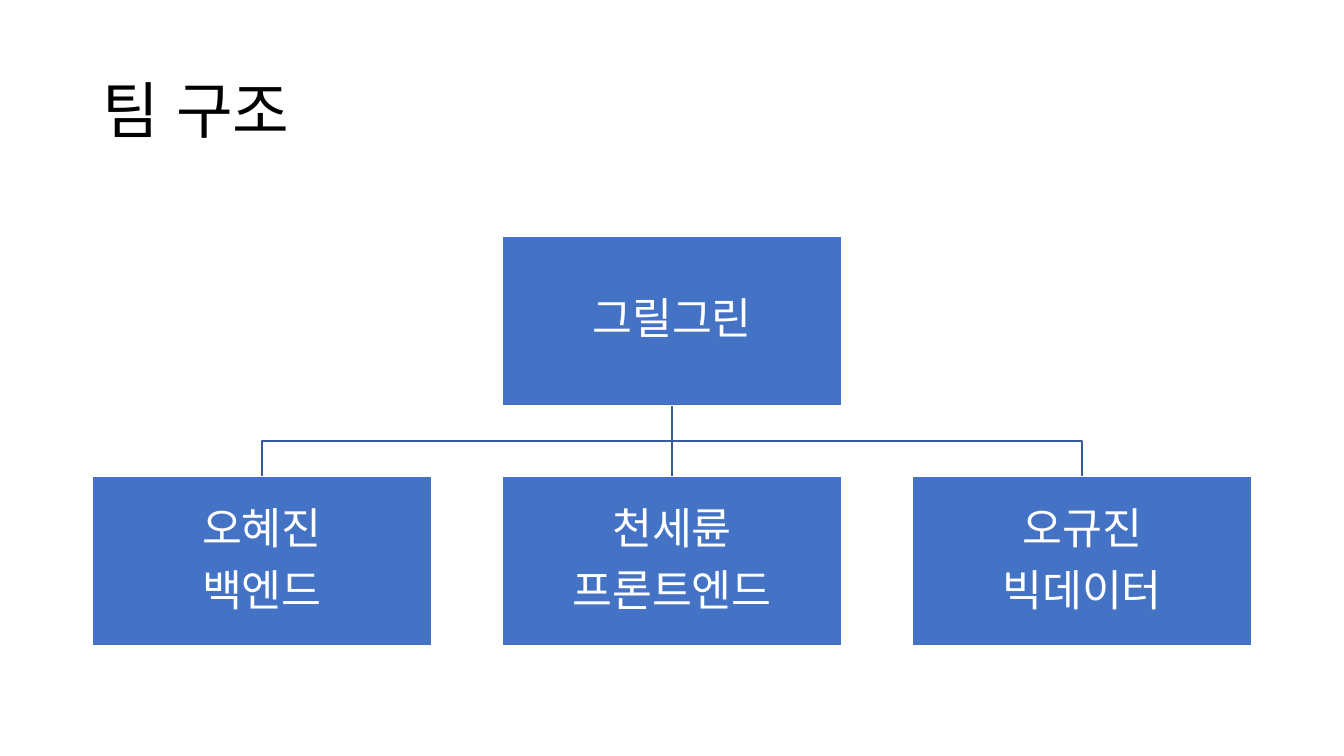
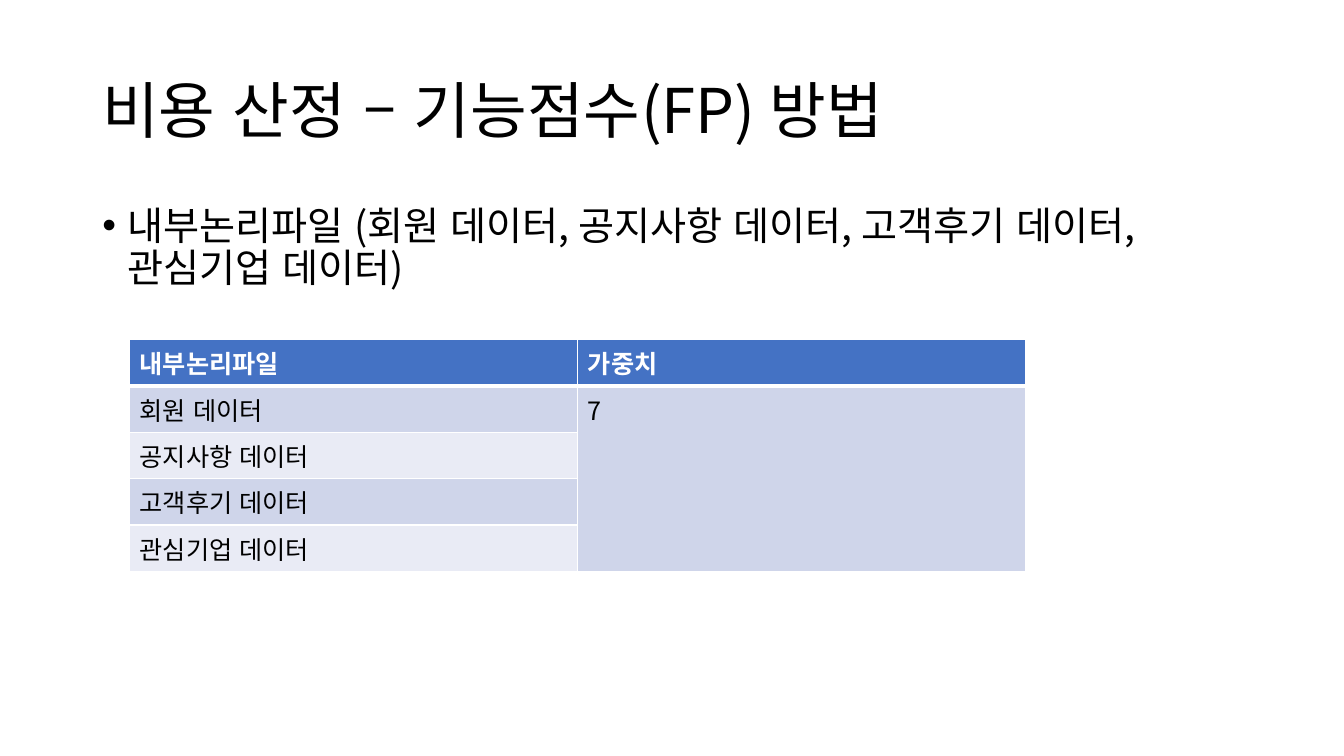
"""Build a team chart slide and a function point cost slide."""
from lxml.etree import SubElement
from pptx import Presentation
from pptx.dml.color import RGBColor
from pptx.enum.lang import MSO_LANGUAGE_ID
from pptx.enum.shapes import MSO_CONNECTOR, MSO_SHAPE
from pptx.enum.text import MSO_ANCHOR, PP_ALIGN
from pptx.oxml.ns import qn
from pptx.util import Inches, Pt

STRAIGHT, RECT = MSO_CONNECTOR.STRAIGHT, MSO_SHAPE.RECTANGLE
MIDDLE, CENTER = MSO_ANCHOR.MIDDLE, PP_ALIGN.CENTER
KOREAN = MSO_LANGUAGE_ID.KOREAN
FONT = "Noto Sans CJK KR"
BLACK = RGBColor(0x00, 0x00, 0x00)
WHITE = RGBColor(0xFF, 0xFF, 0xFF)
BLUE = RGBColor(0x44, 0x72, 0xC4)
NAVY = RGBColor(0x36, 0x5B, 0x9D)
BANDS = RGBColor(0xE9, 0xEB, 0xF5), RGBColor(0xCF, 0xD5, 0xEA)

COLS, ROWS = 160, 90
UNIT = Inches(13.3333) / COLS
LEFT, WIDE = 11, 138


def grid(*cells):
    return [round(cell * UNIT) for cell in cells]


def write(para, text, size, color, bold=False):
    run = para.add_run()
    run.text = text
    font = run.font
    font.name, font.size, font.bold = FONT, Pt(size), bold
    font.color.rgb = color
    font.language_id = KOREAN
    SubElement(font._element, qn("a:ea")).set("typeface", FONT)


deck = Presentation()
deck.slide_width, deck.slide_height = grid(COLS, ROWS)

slides = []
for title in ("팀 구조", "비용 산정 – 기능점수(FP) 방법"):
    slide = deck.slides.add_slide(deck.slide_layouts[6])
    frame = slide.shapes.add_textbox(*grid(LEFT, 4.8, WIDE, 17.4)).text_frame
    frame.word_wrap, frame.vertical_anchor = True, MIDDLE
    para = frame.paragraphs[0]
    para.line_spacing = 0.9
    write(para, title, 44, BLACK)
    slides.append(slide)
team, cost = slides

BOX_W, BOX_H = 40.36, 20.18
STEP = (WIDE - BOX_W) / 2
HEAD, STAFF = 28.1, 56.74
FOOT = HEAD + BOX_H
BUS = (FOOT + STAFF) / 2
lefts = [LEFT + STEP * num for num in range(3)]
mids = [left + BOX_W / 2 for left in lefts]

stem = team.shapes.add_connector(STRAIGHT, *grid(mids[1], FOOT, mids[1], STAFF))
SubElement(stem._element.spPr, qn("a:effectLst"))
links = [stem]
for mid in (mids[0], mids[2]):
    pen = team.shapes.build_freeform(*grid(mids[1], FOOT))
    bends = [grid(mids[1], BUS), grid(mid, BUS), grid(mid, STAFF)]
    pen.add_line_segments(bends, close=False)
    link = pen.convert_to_shape()
    link.shadow.inherit = False
    link.fill.background()
    links.append(link)
for link in links:
    link.line.color.rgb, link.line.width = NAVY, Pt(1)

boxes = [
    (lefts[1], HEAD, ["그릴그린"]),
    (lefts[0], STAFF, ["오혜진", "백엔드"]),
    (lefts[1], STAFF, ["천세륜", "프론트엔드"]),
    (lefts[2], STAFF, ["오규진", "빅데이터"]),
]
for left, top, words in boxes:
    box = team.shapes.add_shape(RECT, *grid(left, top, BOX_W, BOX_H))
    box.shadow.inherit = False
    box.fill.solid()
    box.fill.fore_color.rgb = BLUE
    box.line.color.rgb, box.line.width = WHITE, Pt(1)
    frame = box.text_frame
    frame.word_wrap, frame.vertical_anchor = True, MIDDLE
    frame.margin_left = frame.margin_right = Inches(0.02)
    frame.margin_top = frame.margin_bottom = Inches(0.02)
    for num, word in enumerate(words):
        para = frame.add_paragraph() if num else frame.paragraphs[0]
        para.alignment, para.line_spacing = CENTER, 0.9
        para.space_after = Pt(10.85)
        write(para, word, 31, WHITE)

frame = cost.shapes.add_textbox(*grid(LEFT, 24, WIDE, 57)).text_frame
frame.word_wrap = True
para = frame.paragraphs[0]
para.line_spacing, para.space_before = 0.9, Pt(10)
props = para._p.get_or_add_pPr()
props.set("marL", str(Inches(0.25)))
props.set("indent", str(-Inches(0.25)))
SubElement(props, qn("a:buFont")).set("typeface", "Arial")
SubElement(props, qn("a:buChar")).set("char", "•")
write(para, "내부논리파일 (회원 데이터, 공지사항 데이터, 고객후기 데이터, 관심기업 데이터)", 28, BLACK)

data = [
    ("내부논리파일", "가중치"),
    ("회원 데이터", "7"),
    ("공지사항 데이터", ""),
    ("고객후기 데이터", ""),
    ("관심기업 데이터", ""),
]
area = grid(15.44, 40.4, 106.7, 5.53 * len(data))
table = cost.shapes.add_table(len(data), 2, *area).table
for row, words in enumerate(data):
    for col, word in enumerate(words):
        cell = table.cell(row, col)
        props = cell._tc.get_or_add_tcPr()
        for side in ("lnL", "lnR", "lnT", "lnB"):
            thick = (row, side) in ((0, "lnB"), (1, "lnT"))
            edge = SubElement(props, qn("a:" + side), w=str(Pt(3 if thick else 1)))
            paint = SubElement(edge, qn("a:solidFill"))
            SubElement(paint, qn("a:srgbClr")).set("val", str(WHITE))
        cell.fill.solid()
        cell.fill.fore_color.rgb = BLUE if row == 0 else BANDS[row % 2]
        if word:
            color = BLACK if row else WHITE
            write(cell.text_frame.paragraphs[0], word, 18, color, row == 0)
table.cell(1, 1).merge(table.cell(len(data) - 1, 1))

deck.save("out.pptx")
